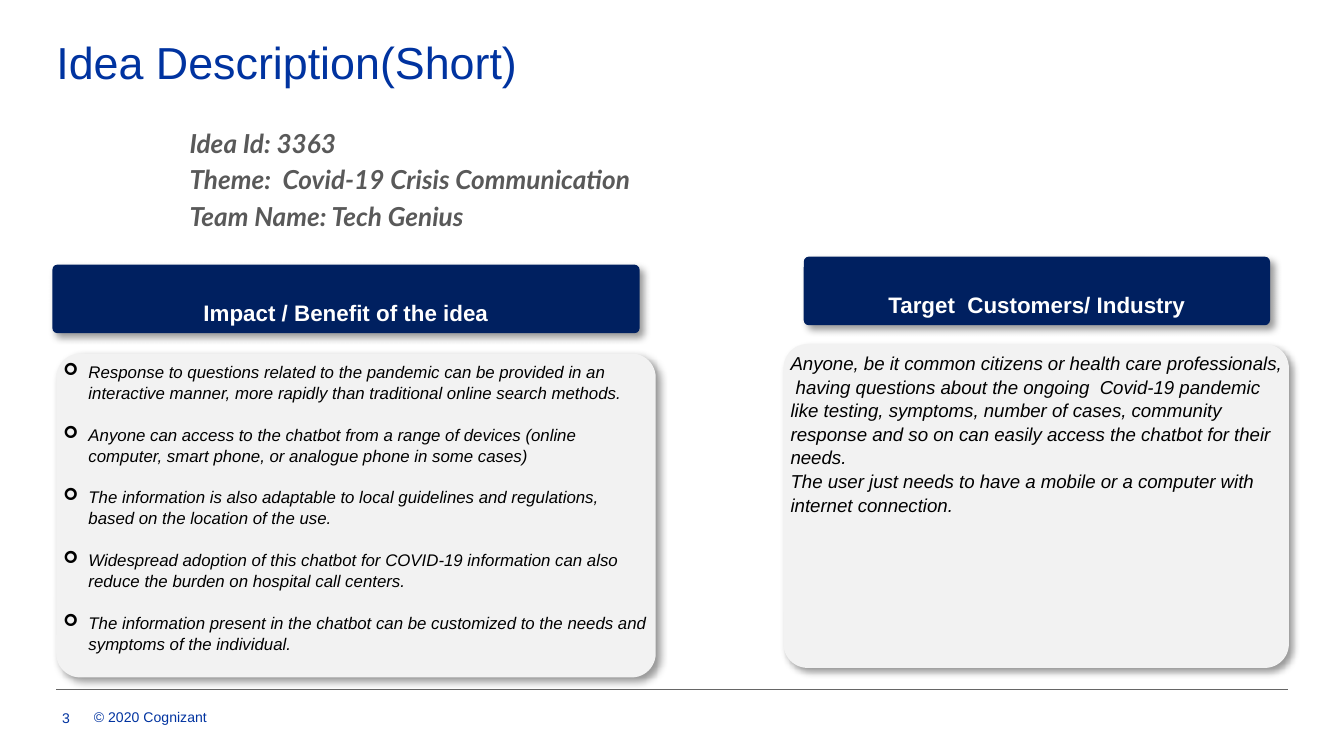
from lxml.etree import SubElement as Sub
from pptx import Presentation
from pptx.dml.color import RGBColor as RGB
from pptx.enum.shapes import MSO_CONNECTOR as Link, MSO_SHAPE as Shape
from pptx.enum.text import MSO_ANCHOR as Anchor, PP_ALIGN as Align
from pptx.oxml.ns import qn
from pptx.util import Pt

BLUE = RGB(0x00, 0x33, 0xA0)
NAVY = RGB(0x00, 0x20, 0x60)
PALE = RGB(0xF2, 0xF2, 0xF2)
GREY = RGB(0x59, 0x59, 0x59)
RULE = RGB(0x66, 0x66, 0x66)
WHITE = RGB(0xFF, 0xFF, 0xFF)
BLACK = RGB(0x00, 0x00, 0x00)

IDEA = ["Idea Id: 3363", "Theme:  Covid-19 Crisis Communication", "Team Name: Tech Genius"]
GAINS = [
    "Response to questions related to the pandemic can be provided in an interactive manner, "
    "more rapidly than traditional online search methods.",
    "Anyone can access to the chatbot from a range of devices "
    "(online computer, smart phone, or analogue phone in some cases)",
    "The information is also adaptable to local guidelines and regulations, "
    "based on the location of the use.",
    "Widespread adoption of this chatbot for COVID-19 information can also "
    "reduce the burden on hospital call centers.",
    "The information present in the chatbot can be customized to the needs and "
    "symptoms of the individual.",
]
USERS = [
    "Anyone, be it common citizens or health care professionals,  having questions about the "
    "ongoing  Covid-19 pandemic like testing, symptoms, number of cases, community response "
    "and so on can easily access the chatbot for their needs.",
    "The user just needs to have a mobile or a computer with internet connection.",
]


def write(frame, lines, size, color, face="Arial", bold=False, italic=False,
          align=Align.LEFT, gap=0, lead=None, bullet=None):
    """Fill a text frame with one paragraph per line, gap points apart."""
    frame.word_wrap = True
    for i, line in enumerate(lines):
        para = frame.add_paragraph() if i else frame.paragraphs[0]
        para.alignment = align
        if i:
            para.space_before = Pt(gap)
        if lead:
            para.line_spacing = lead
        if bullet:
            props = para._p.get_or_add_pPr()
            props.set("marL", str(Pt(13.5)))
            props.set("indent", str(Pt(-13.5)))
            Sub(props, qn("a:buFont"), typeface="Wingdings")
            Sub(props, qn("a:buChar"), char=bullet)
        run = para.add_run()
        run.text = line
        font = run.font
        font.name, font.size = face, Pt(size)
        font.bold, font.italic = bold, italic
        font.color.rgb = color


def card(left, top, width, height, fill):
    """Add a rounded box with a soft shadow and return its text frame."""
    box = slide.shapes.add_shape(Shape.ROUNDED_RECTANGLE, Pt(left), Pt(top), Pt(width), Pt(height))
    box.adjustments[0] = 0.074
    box.fill.solid()
    box.fill.fore_color.rgb = fill
    box.line.fill.background()
    box.shadow.inherit = False
    glow = Sub(box._element.spPr.find(qn("a:effectLst")), qn("a:outerShdw"),
               blurRad=str(Pt(4)), dist=str(Pt(3)), dir="2700000", algn="tl", rotWithShape="0")
    Sub(Sub(glow, qn("a:srgbClr"), val="000000"), qn("a:alpha"), val="40000")
    frame = box.text_frame
    frame.vertical_anchor = Anchor.TOP
    frame.margin_left = frame.margin_right = frame.margin_top = frame.margin_bottom = 0
    return frame


deck = Presentation()
deck.slide_width, deck.slide_height = Pt(720), Pt(405)
slide = deck.slides.add_slide(deck.slide_layouts[5])

# Title
title = slide.shapes.title
title.left, title.top, title.width, title.height = Pt(30.2), Pt(21.6), Pt(660), Pt(31)
frame = title.text_frame
frame.vertical_anchor = Anchor.TOP
frame.margin_left = frame.margin_right = frame.margin_top = frame.margin_bottom = 0
write(frame, ["Idea Description(Short)"], 24, BLUE, lead=0.9)

# Footer
rule = slide.shapes.add_connector(Link.STRAIGHT, Pt(30.2), Pt(369.4), Pt(689.8), Pt(369.4))
rule.line.color.rgb = RULE
rule.line.width = Pt(0.5)
Sub(rule._element.spPr, qn("a:effectLst"))
note = slide.shapes.add_textbox(Pt(43.2), Pt(375.8), Pt(141.8), Pt(16.6))
write(note.text_frame, ["© 2020 Cognizant"], 7.5, BLUE)
page = slide.shapes.add_textbox(Pt(15.8), Pt(373.7), Pt(28.8), Pt(21.6))
page.text_frame.vertical_anchor = Anchor.MIDDLE
write(page.text_frame, ["3"], 7.5, BLUE, align=Align.RIGHT)

# Idea details
idea = slide.shapes.add_textbox(Pt(88.6), Pt(63.4), Pt(616.3), Pt(62))
idea.text_frame.margin_left = Pt(13)
idea.text_frame.margin_top = Pt(4.9)
write(idea.text_frame, IDEA, 14, GREY, face="Lato", bold=True, italic=True, gap=2.6)

# Headings
for text, left, top, width in [
    ("Impact / Benefit of the idea", 28.1, 141.8, 314.6),
    ("Target  Customers/ Industry", 430.6, 137.5, 249.8),
]:
    frame = card(left, top, width, 36.7, NAVY)
    frame.margin_top = Pt(17.7)
    write(frame, [text], 12, WHITE, bold=True, align=Align.CENTER)

# Panels
frame = card(30.2, 189.4, 321.1, 173.5, PALE)
write(frame, GAINS, 9, BLACK, italic=True, gap=10.85, lead=1.05, bullet="➢")
frame = card(419.8, 184.3, 270.7, 173.5, PALE)
write(frame, USERS, 10, BLACK, italic=True, lead=1.05)

deck.save("out.pptx")
